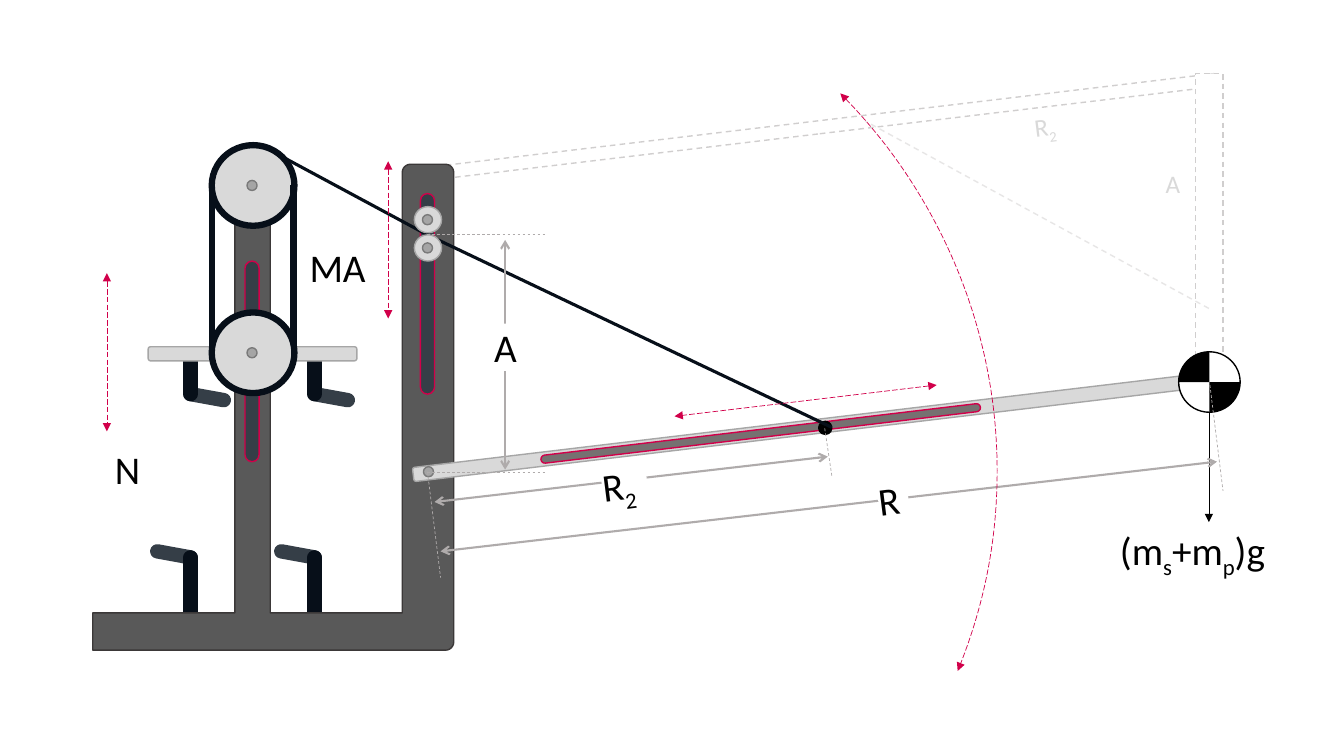
from math import cos, radians, sin

from lxml import etree
from pptx import Presentation
from pptx.dml.color import RGBColor
from pptx.enum.dml import MSO_LINE
from pptx.enum.shapes import MSO_CONNECTOR, MSO_SHAPE
from pptx.enum.text import MSO_AUTO_SIZE, PP_ALIGN
from pptx.oxml.ns import qn
from pptx.util import Cm, Pt

RECT = MSO_SHAPE.RECTANGLE
ROUND = MSO_SHAPE.ROUNDED_RECTANGLE
OVAL = MSO_SHAPE.OVAL
PIE = MSO_SHAPE.PIE
ARC = MSO_SHAPE.ARC
LINE = MSO_CONNECTOR.STRAIGHT
DASH = MSO_LINE.DASH
LONG = MSO_LINE.LONG_DASH
LEFT = PP_ALIGN.LEFT
GROW = MSO_AUTO_SIZE.SHAPE_TO_FIT_TEXT

BLACK = RGBColor(0x00, 0x00, 0x00)
WHITE = RGBColor(0xFF, 0xFF, 0xFF)
INK = RGBColor(0x07, 0x0F, 0x19)
SLATE = RGBColor(0x35, 0x3E, 0x47)
STEEL = RGBColor(0x59, 0x59, 0x59)
EDGE = RGBColor(0x3B, 0x38, 0x38)
PALE = RGBColor(0xD9, 0xD9, 0xD9)
RIM = RGBColor(0xA6, 0xA6, 0xA6)
HUB = RGBColor(0xA5, 0xA5, 0xA5)
RING = RGBColor(0x7A, 0x7A, 0x7A)
GROOVE = RGBColor(0x76, 0x71, 0x71)
RED = RGBColor(0xD1, 0x00, 0x4A)
GHOST = RGBColor(0xD0, 0xCE, 0xCE)
FAINT = RGBColor(0xE7, 0xE6, 0xE6)
GREY = RGBColor(0xAF, 0xAB, 0xAB)

TILT = -6.8


def inch(value):
    return Cm(value * 2.54)


def paint(shape, fill, edge, width=1, dash=None):
    shape.shadow.inherit = False
    if fill is None:
        shape.fill.background()
    else:
        shape.fill.solid()
        shape.fill.fore_color.rgb = fill
    if edge is None:
        shape.line.fill.background()
    else:
        stroke(shape, edge, width, dash)


def stroke(shape, color, width, dash):
    shape.line.color.rgb = color
    shape.line.width = Pt(width)
    if dash:
        shape.line.dash_style = dash


def tip(shape, head, tail):
    line = shape._element.spPr.find(qn("a:ln"))
    for tag, kind in (("a:headEnd", head), ("a:tailEnd", tail)):
        if kind:
            etree.SubElement(line, qn(tag), type=kind)


def add_form(group, kind, box, fill, edge, width=1, dash=None, turn=0, bends=()):
    shape = group.add_shape(kind, *map(inch, box))
    shape.rotation = turn
    for i, bend in enumerate(bends):
        shape.adjustments[i] = bend
    paint(shape, fill, edge, width, dash)
    return shape


def add_line(group, start, end, color, width, dash=None, head=None, tail=None, cap="flat"):
    line = group.add_connector(LINE, *map(inch, (*start, *end)))
    stroke(line, color, width, dash)
    line._element.spPr.find(qn("a:ln")).set("cap", cap)
    tip(line, head, tail)
    etree.SubElement(line._element.spPr, qn("a:effectLst"))


def add_label(group, box, parts, size=28, color=BLACK, turn=0, wrap=False, pad=0, fill=WHITE):
    label = group.add_textbox(*map(inch, box))
    label.rotation = turn
    if fill is not None:
        label.fill.solid()
        label.fill.fore_color.rgb = fill
    frame = label.text_frame
    frame.word_wrap = wrap
    frame.auto_size = GROW
    frame.margin_left = frame.margin_right = inch(pad)
    frame.margin_top = frame.margin_bottom = inch(pad / 2)
    para = frame.paragraphs[0]
    para.alignment = LEFT
    for i, part in enumerate(parts):
        run = para.add_run()
        run.text = part
        run.font.name = "Calibri"
        run.font.size = Pt(size)
        run.font.color.rgb = color
        if i % 2:
            run._r.get_or_add_rPr().set("baseline", "-25000")


def curve(x, y, radius, start):
    turns = [radians(start + 15 * i) for i in range(7)]
    return [(x + radius * cos(a), y + radius * sin(a)) for a in turns]


def add_frame(group):
    points = [
        *curve(4.07, 1.71, 0.08, 180), *curve(4.42, 1.71, 0.08, 270),
        *curve(4.42, 6.37, 0.08, 0), (0.92, 6.45), (0.92, 6.08), (2.33, 6.08),
        *curve(2.39, 1.9, 0.06, 180), *curve(2.62, 1.9, 0.06, 270),
        (2.68, 6.08), (3.99, 6.08),
    ]
    points = [(inch(x), inch(y)) for x, y in points]
    builder = group.build_freeform(*points[0])
    builder.add_line_segments(points[1:], close=True)
    paint(builder.convert_to_shape(), STEEL, EDGE)


def add_grips(group):
    for x in (1.89, 3.12):
        for start, end, color in (
            ((x - 0.33, 5.47), (x, 5.53), SLATE),
            ((x, 3.91), (x + 0.33, 3.97), SLATE),
            ((x, 5.53), (x, 6.08), INK),
            ((x, 3.58), (x, 3.91), INK),
        ):
            add_line(group, start, end, color, 10.25, cap="rnd")


def add_arm(group):
    add_form(group, ROUND, (4.07, 4.16, 8.08, 0.14), PALE, RIM, turn=TILT)
    add_form(group, ROUND, (5.35, 4.26, 4.39, 0.08), GROOVE, RED, turn=TILT, bends=[0.5])
    for x, y in ((4.17, 1.92), (2.43, 2.59)):
        add_form(group, ROUND, (x, y, 0.14, 1.99), SLATE, RED, bends=[0.5])
    add_form(group, RECT, (11.86, 0.73, 0.27, 3.16), WHITE, GHOST, dash=DASH)
    add_line(group, (11.99, 3.06), (8.58, 1.2), FAINT, 1, DASH)
    add_form(group, OVAL, (8.12, 4.18, 0.13, 0.13), BLACK, BLACK)


def add_mass(group):
    box = (11.69, 3.49, 0.61, 0.6)
    for turn, fill in ((90, WHITE), (270, WHITE), (0, BLACK), (180, BLACK)):
        add_form(group, PIE, box, fill, None, turn=turn, bends=[108, 162])
    add_form(group, OVAL, box, None, BLACK)
    add_line(group, (11.99, 4.09), (11.99, 5.18), BLACK, 0.5, tail="triangle")
    add_label(group, (11.01, 5.17, 1.69, 0.57), ["(m", "s", "+m", "p", ")g"], pad=0.1, fill=None)


def add_wheels(group):
    add_form(group, OVAL, (2.1, 1.44, 0.82, 0.8), PALE, INK, 4.5)
    for x in (2.1, 2.91):
        add_line(group, (x, 1.84), (x, 3.5), INK, 4.5)
    add_form(group, ROUND, (1.47, 3.44, 2.07, 0.14), PALE, RIM)
    add_form(group, OVAL, (2.1, 3.1, 0.82, 0.8), PALE, INK, 4.5)
    for start, end in (((8.25, 4.24), (4.24, 2.33)), ((4.24, 2.33), (2.79, 1.55))):
        add_line(group, start, end, INK, 2.25)
    for y in (2.33, 2.05):
        add_form(group, OVAL, (4.11, y, 0.27, 0.26), PALE, RIM)
    for x, y in ((4.2, 4.63), (4.19, 2.41), (4.19, 2.13), (2.45, 1.79), (2.45, 3.45)):
        add_form(group, OVAL, (x, y, 0.1, 0.1), HUB, RING)


def add_sizes(group):
    for start, end in (
        ((4.24, 2.33), (5.42, 2.33)), ((4.24, 4.69), (5.42, 4.69)),
        ((4.24, 4.68), (4.37, 5.73)), ((8.18, 4.25), (8.25, 4.72)),
        ((12, 3.82), (12.13, 4.87)),
    ):
        add_line(group, start, end, GREY, 0.5, DASH)
    for start, end in (
        ((4.37, 5.47), (12.07, 4.58)), ((4.31, 4.98), (8.21, 4.53)),
        ((5.01, 2.38), (5.01, 4.66)),
    ):
        add_line(group, start, end, GREY, 1.5, head="arrow", tail="arrow")
    add_label(group, (8.71, 4.72, 0.3, 0.47), ["R"], turn=-7.2, wrap=True)
    add_label(group, (5.97, 4.57, 0.45, 0.47), ["R", "2"], turn=-7.2, wrap=True)
    add_label(group, (10.27, 1.09, 0.45, 0.5), ["R", "2"], 18, PALE, -7.2, True)
    add_label(group, (11.56, 1.67, 0.25, 0.5), ["A"], 18, PALE)
    add_label(group, (4.9, 3.21, 0.23, 0.47), ["A"])
    add_label(group, (3.07, 2.41, 0.56, 0.47), ["MA"])
    add_label(group, (1.14, 4.42, 0.25, 0.47), ["N"])


def add_moves(group):
    swing = add_form(group, ARC, (-1.4, -0.76, 11.29, 10.86), None, RED, 0.5, LONG,
                     bends=[190.52, 12.43])
    tip(swing, "triangle", "triangle")
    for start, end in (
        ((1.06, 2.71), (1.06, 4.28)), ((3.85, 1.6), (3.85, 3.16)),
        ((9.29, 3.82), (6.69, 4.13)),
    ):
        add_line(group, start, end, RED, 0.5, LONG, "triangle", "triangle")


def main():
    deck = Presentation()
    deck.slide_width, deck.slide_height = inch(13.33), inch(7.5)
    slide = deck.slides.add_slide(deck.slide_layouts[6])
    group = slide.shapes.add_group_shape().shapes
    add_grips(group)
    add_form(group, RECT, (4.1, 1.2, 8.01, 0.13), WHITE, GHOST, dash=DASH, turn=TILT)
    add_frame(group)
    add_arm(group)
    add_mass(group)
    add_wheels(group)
    add_sizes(group)
    add_moves(group)
    deck.save("out.pptx")


if __name__ == "__main__":
    main()
